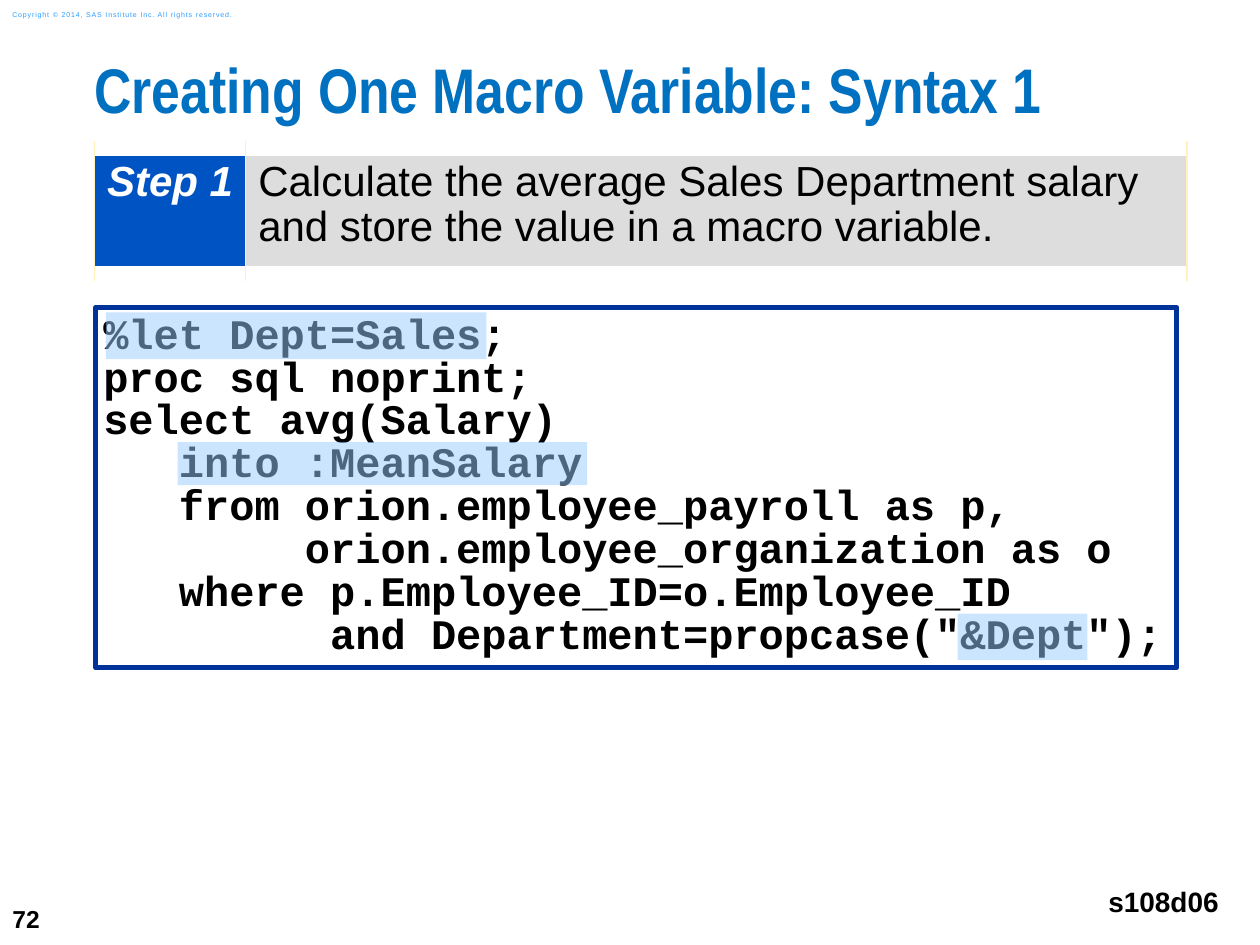
from typing import NamedTuple

from lxml.etree import SubElement
from pptx import Presentation
from pptx.dml.color import RGBColor
from pptx.enum.shapes import MSO_SHAPE
from pptx.enum.text import MSO_ANCHOR, MSO_AUTO_SIZE, PP_ALIGN
from pptx.oxml.ns import qn
from pptx.util import Inches, Pt

COLORS = {
    "title": "0070C0", "text": "000000", "white": "FFFFFF", "copyright": "2A9CFF",
    "frame": "003399", "highlight": "99CCFF", "step": "0053C3", "task": "DDDDDD",
    "rule": "FFF2BE",
}


class Box(NamedTuple):
    left: float
    top: float
    width: float
    height: float

    def emu(self) -> list:
        return [Inches(v) for v in self]


class StepCell(NamedTuple):
    text: str
    width: float
    fill: str
    color: str
    emphasis: bool


CODE = """%let Dept=Sales;
proc sql noprint;
select avg(Salary)
   into :MeanSalary
   from orion.employee_payroll as p,
        orion.employee_organization as o
   where p.Employee_ID=o.Employee_ID
         and Department=propcase("&Dept");"""
HIGHLIGHTS = [
    Box(0.84, 2.48, 3.02, 0.37),
    Box(7.6, 4.87, 1.03, 0.37),
    Box(1.41, 3.51, 3.25, 0.34),
]
STEP_CELLS = [
    StepCell("Step 1", 1.2, "step", "white", True),
    StepCell("Calculate the average Sales Department salary "
             "and store the value in a macro variable.", 7.47, "task", "text", False),
]


def rgb(name: str) -> RGBColor:
    return RGBColor.from_string(COLORS[name])


def write(tf, text: str, *, size: float, color: str = "text", font: str = "Arial",
          bold: bool = False, italic: bool = False, align=PP_ALIGN.LEFT,
          spacing: float | None = None, tracking: float = 0) -> None:
    """Fill a text frame with one paragraph per line of text."""
    for i, line in enumerate(text.split("\n")):
        p = tf.paragraphs[0] if i == 0 else tf.add_paragraph()
        p.alignment = align
        if spacing:
            p.line_spacing = spacing
        r = p.add_run()
        r.text = line
        f = r.font
        f.name, f.size, f.bold, f.italic = font, Pt(size), bold, italic
        f.color.rgb = rgb(color)
        if tracking:
            r._r.get_or_add_rPr().set("spc", str(int(tracking * 100)))


def set_frame(tf, x: float, y: float, *, wrap: bool = True,
              anchor=MSO_ANCHOR.TOP) -> None:
    tf.margin_left = tf.margin_right = Inches(x)
    tf.margin_top = tf.margin_bottom = Inches(y)
    tf.word_wrap, tf.vertical_anchor = wrap, anchor
    tf.auto_size = MSO_AUTO_SIZE.NONE


def add_label(s, box: Box, text: str, *, inset_y: float = 0.05, wrap: bool = False,
              anchor=MSO_ANCHOR.TOP, **fmt) -> None:
    tf = s.shapes.add_textbox(*box.emu()).text_frame
    set_frame(tf, 0.1, inset_y, wrap=wrap, anchor=anchor)
    write(tf, text, **fmt)


def add_rect(shapes, box: Box, fill: str, alpha: int = 100):
    sp = shapes.add_shape(MSO_SHAPE.RECTANGLE, *box.emu())
    sp.shadow.inherit = False
    sp.fill.solid()
    sp.fill.fore_color.rgb = rgb(fill)
    sp.line.fill.background()
    if alpha < 100:
        clr = sp._element.spPr.find(qn("a:solidFill"))[0]
        SubElement(clr, qn("a:alpha")).set("val", str(alpha * 1000))
    return sp


def set_borders(cell) -> None:
    tcPr = cell._tc.get_or_add_tcPr()
    edges = [("lnL", "rule", 1), ("lnR", "rule", 1), ("lnT", "white", 10), ("lnB", "white", 10)]
    for i, (tag, color, width) in enumerate(edges):
        ln = SubElement(tcPr, qn(f"a:{tag}"))
        ln.set("w", str(Pt(width)))
        SubElement(SubElement(ln, qn("a:solidFill")), qn("a:srgbClr")).set("val", COLORS[color])
        tcPr.remove(ln)
        tcPr.insert(i, ln)  # borders come before the cell fill


def add_step_table(s, box: Box) -> None:
    table = s.shapes.add_table(1, len(STEP_CELLS), *box.emu()).table
    table.first_row = table.horz_banding = False
    table.rows[0].height = Inches(box.height)
    for i, step in enumerate(STEP_CELLS):
        table.columns[i].width = Inches(step.width)
        cell = table.cell(0, i)
        cell.margin_left = cell.margin_right = Inches(0.1)
        cell.margin_top = cell.margin_bottom = Inches(0.1)
        cell.fill.solid()
        cell.fill.fore_color.rgb = rgb(step.fill)
        set_borders(cell)
        write(cell.text_frame, step.text, size=24, color=step.color,
              bold=step.emphasis, italic=step.emphasis, spacing=0.95)


def add_code(s) -> None:
    group = s.shapes.add_group_shape()
    sp = add_rect(group.shapes, Box(0.76, 2.44, 8.58, 2.86), "white")
    sp.line.color.rgb = rgb("frame")
    sp.line.width = Pt(3)
    set_frame(sp.text_frame, 0.06, 0.06, wrap=False)
    write(sp.text_frame, CODE, size=24, font="Courier New", bold=True, spacing=0.85)
    for box in HIGHLIGHTS:
        add_rect(group.shapes, box, "highlight", alpha=50)


def main() -> None:
    prs = Presentation()
    prs.slide_width, prs.slide_height = Inches(10), Inches(7.5)
    s = prs.slides.add_slide(prs.slide_layouts[5])

    # Title
    title = s.shapes.title
    title.left, title.top, title.width, title.height = Box(0.75, 0.5, 9.25, 0.74).emu()
    set_frame(title.text_frame, 0, 0)
    write(title.text_frame, "Creating One Macro Variable: Syntax 1", size=36,
          color="title", font="Arial Narrow", bold=True, spacing=0.83)

    # Page number, copyright line and program name
    add_label(s, Box(0, 7.08, 0.58, 0.42), "72", size=14, bold=True, anchor=MSO_ANCHOR.MIDDLE)
    add_label(s, Box(0, 0.03, 2.11, 0.17),
              "Copyright © 2014, SAS Institute Inc. All rights reserved.",
              size=4, color="copyright", tracking=0.5, wrap=True, anchor=MSO_ANCHOR.MIDDLE)
    add_label(s, Box(8.69, 6.92, 1.08, 0.47), "s108d06", size=16, bold=True,
              inset_y=0.1, align=PP_ALIGN.RIGHT)

    # Code with highlights, then the step banner
    add_code(s)
    add_step_table(s, Box(0.75, 1.18, 8.67, 0.99))
    prs.save("out.pptx")


if __name__ == "__main__":
    main()
